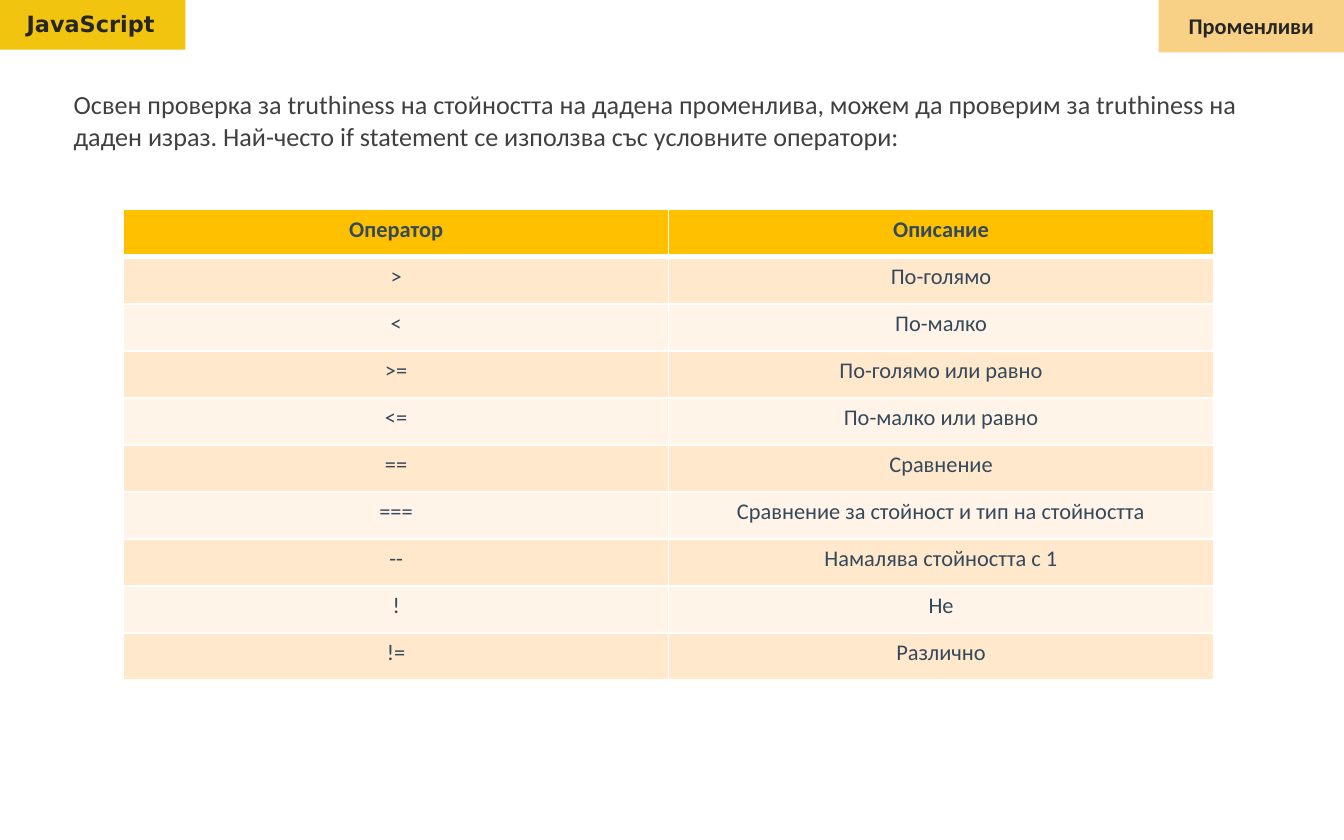
from dataclasses import dataclass

from lxml import etree
from pptx import Presentation
from pptx.dml.color import RGBColor
from pptx.enum.shapes import MSO_SHAPE
from pptx.enum.text import MSO_AUTO_SIZE, PP_ALIGN
from pptx.oxml.ns import qn
from pptx.util import Inches, Pt

RECTANGLE = MSO_SHAPE.RECTANGLE
LEFT, CENTER = PP_ALIGN.LEFT, PP_ALIGN.CENTER
GROW = MSO_AUTO_SIZE.SHAPE_TO_FIT_TEXT


@dataclass(frozen=True)
class Theme:
    """Colours, fonts and type sizes of the slide."""
    topic_fill: str = "F1C40F"
    section_fill: str = "F3A411"
    tag_text: str = "262626"
    body_text: str = "404040"
    table_text: str = "34495B"
    header_fill: str = "FFC000"
    bands: tuple = ("FFE8CC", "FFF4E7")
    border: str = "FFFFFF"
    body_font: str = "Calibri"
    topic_font: str = "DejaVu Sans"
    small: int = 12
    large: int = 14


THEME = Theme()

INTRO = (
    "Освен проверка за truthiness на стойността на дадена променлива, "
    "можем да проверим за truthiness на даден израз. "
    "Най-често if statement се използва със условните оператори:"
)
OPERATORS = [
    ("Оператор", "Описание"),
    (">", "По-голямо"),
    ("<", "По-малко"),
    (">=", "По-голямо или равно"),
    ("<=", "По-малко или равно"),
    ("==", "Сравнение"),
    ("===", "Сравнение за стойност и тип на стойността"),
    ("--", "Намалява стойността с 1"),
    ("!", "Не"),
    ("!=", "Различно"),
]


def write(frame, text, color, align=LEFT, **formats):
    """Write one formatted paragraph into a text frame."""
    para = frame.paragraphs[0]
    para.alignment = align
    span = para.add_run()
    span.text = text
    span.font.color.rgb = RGBColor.from_string(color)
    for name, value in formats.items():
        setattr(span.font, name, value)


def add_text(page, box, text, color, **formats):
    """Place a wrapping text box in the given box."""
    frame = page.shapes.add_textbox(*map(Inches, box)).text_frame
    frame.word_wrap = True
    frame.auto_size = GROW
    write(frame, text, color, **formats)


def add_tag(page, box, text_box, text, fill, opacity=100, **formats):
    """Place a coloured corner tag with its bold label."""
    tag = page.shapes.add_shape(RECTANGLE, *map(Inches, box))
    tag.shadow.inherit = False
    tag.line.fill.background()
    tag.fill.solid()
    tag.fill.fore_color.rgb = RGBColor.from_string(fill)
    if opacity < 100:
        color = tag.fill._xPr.find(".//" + qn("a:srgbClr"))
        etree.SubElement(color, qn("a:alpha"), val=str(opacity * 1000))
    add_text(page, text_box, text, THEME.tag_text,
             size=Pt(THEME.small), bold=True, **formats)


def add_borders(cell, bottom):
    """Draw the cell borders, with the bottom width given in points."""
    properties = cell._tc.get_or_add_tcPr()
    for side, width in {"L": 1, "R": 1, "T": 1, "B": bottom}.items():
        line = etree.SubElement(properties, qn(f"a:ln{side}"), w=str(Pt(width)))
        fill = etree.SubElement(line, qn("a:solidFill"))
        etree.SubElement(fill, qn("a:srgbClr"), val=THEME.border)


def add_operator_table(page, box):
    """Place the banded operator table in the given box."""
    table = page.shapes.add_table(
        len(OPERATORS), len(OPERATORS[0]), *map(Inches, box)).table
    for row, texts in enumerate(OPERATORS):
        header = row == 0
        fill = THEME.header_fill if header else THEME.bands[(row - 1) % 2]
        for column, text in enumerate(texts):
            cell = table.cell(row, column)
            add_borders(cell, 3 if header else 1)
            cell.fill.solid()
            cell.fill.fore_color.rgb = RGBColor.from_string(fill)
            write(cell.text_frame, text, THEME.table_text, CENTER,
                  name=THEME.body_font, size=Pt(THEME.small), bold=header)


def build_operators_slide(deck):
    """Add the slide on comparison operators."""
    page = deck.slides.add_slide(deck.slide_layouts[6])
    add_tag(page, (0, 0, 1.38, 0.37), (0.1, 0.03, 1.22, 0.3), "JavaScript",
            THEME.topic_fill, name=THEME.topic_font)
    add_tag(page, (8.62, 0, 1.38, 0.39), (8.62, 0.04, 1.38, 0.3), "Променливи",
            THEME.section_fill, opacity=50, name=THEME.body_font, align=CENTER)
    add_text(page, (0.45, 0.61, 9.06, 0.57), INTRO, THEME.body_text,
             name=THEME.body_font, size=Pt(THEME.large))
    add_operator_table(page, (0.92, 1.56, 8.11, 3.5))


def main():
    """Build and save the deck."""
    deck = Presentation()
    deck.slide_width, deck.slide_height = Inches(10), Inches(6.25)
    build_operators_slide(deck)
    deck.save("out.pptx")


if __name__ == "__main__":
    main()
